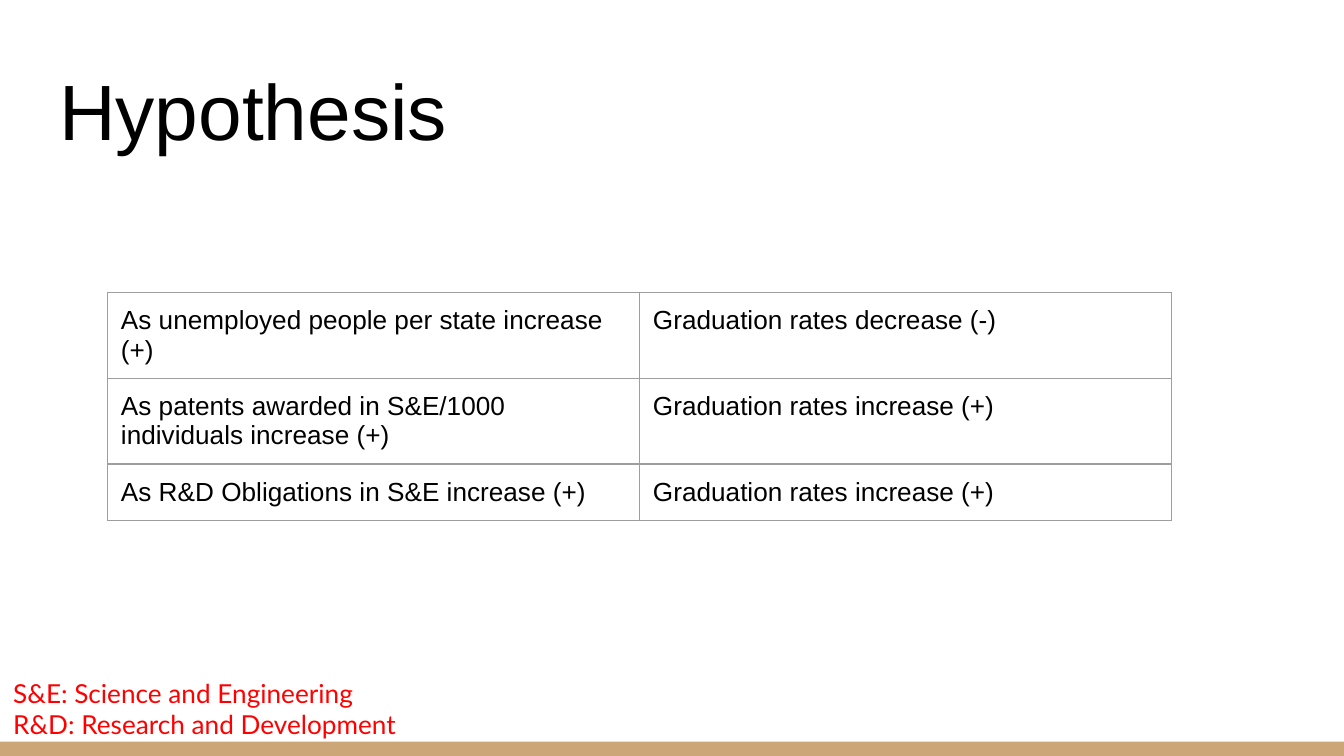
from dataclasses import dataclass

from lxml import etree
from pptx import Presentation
from pptx.dml.color import RGBColor
from pptx.enum import shapes, text
from pptx.oxml import ns
from pptx.util import Pt

BLACK = RGBColor(0x00, 0x00, 0x00)
RED = RGBColor(0xFF, 0x00, 0x00)
TAN = RGBColor(0xCC, 0xA6, 0x77)
GREY = RGBColor(0x9E, 0x9E, 0x9E)
INSET = Pt(7.2)
PAGE_WIDTH = 720
PAGE_HEIGHT = 405


@dataclass(frozen=True)
class Prediction:
    cause: str
    effect: str


@dataclass(frozen=True)
class Style:
    font: str
    size: float
    color: RGBColor


TITLE = Style("Arial", 42, BLACK)
CELL = Style("Arial", 14, BLACK)
NOTE = Style("Lato", 14, RED)

PREDICTIONS = [
    Prediction("As unemployed people per state increase (+)", "Graduation rates decrease (-)"),
    Prediction("As patents awarded in S&E/1000 individuals increase (+)", "Graduation rates increase (+)"),
    Prediction("As R&D Obligations in S&E increase (+)", "Graduation rates increase (+)"),
]
ABBREVIATIONS = ["S&E: Science and Engineering", "R&D: Research and Development"]


def write(frame, wording: str, style: Style) -> None:
    frame.text = wording
    for para in frame.paragraphs:
        para.alignment = text.PP_ALIGN.LEFT
        for span in para.runs:
            span.font.name = style.font
            span.font.size = Pt(style.size)
            span.font.color.rgb = style.color


def set_insets(holder) -> None:
    holder.margin_left = holder.margin_right = INSET
    holder.margin_top = holder.margin_bottom = INSET


def place(shape, left: float, top: float, width: float, height: float) -> None:
    shape.left, shape.top = Pt(left), Pt(top)
    shape.width, shape.height = Pt(width), Pt(height)


def add_borders(cell) -> None:
    properties = cell._tc.get_or_add_tcPr()
    for position, side in enumerate(("lnL", "lnR", "lnT", "lnB")):
        line = etree.Element(ns.qn(f"a:{side}"), w=str(Pt(0.75)))
        fill = etree.SubElement(line, ns.qn("a:solidFill"))
        etree.SubElement(fill, ns.qn("a:srgbClr"), val=str(GREY))
        properties.insert(position, line)


def add_title(page) -> None:
    title = page.shapes.title
    place(title, 24.5, 25.2, 671, 65.5)
    frame = title.text_frame
    set_insets(frame)
    frame.auto_size = text.MSO_AUTO_SIZE.NONE
    frame.vertical_anchor = text.MSO_ANCHOR.BOTTOM
    write(frame, "Hypothesis", TITLE)


def add_predictions(page, predictions: list[Prediction]) -> None:
    row_height = 30
    table = page.shapes.add_table(
        len(predictions), 2, Pt(57.6), Pt(156.8), Pt(570), Pt(row_height * len(predictions))
    ).table
    table.first_row = table.horz_banding = False
    for row, prediction in zip(table.rows, predictions):
        for cell, wording in zip(row.cells, (prediction.cause, prediction.effect)):
            cell.fill.background()
            set_insets(cell)
            add_borders(cell)
            write(cell.text_frame, wording, CELL)


def add_abbreviations(page) -> None:
    box = page.shapes.add_textbox(0, Pt(355.7), Pt(249), Pt(44))
    box.text_frame.word_wrap = True
    set_insets(box.text_frame)
    write(box.text_frame, "\n".join(ABBREVIATIONS), NOTE)


def add_footer_band(page) -> None:
    height = 7.6
    band = page.shapes.add_shape(
        shapes.MSO_SHAPE.RECTANGLE, 0, Pt(PAGE_HEIGHT - height), Pt(PAGE_WIDTH), Pt(height)
    )
    band.shadow.inherit = False
    band.fill.solid()
    band.fill.fore_color.rgb = TAN
    band.line.fill.background()


def main() -> None:
    deck = Presentation()
    deck.slide_width, deck.slide_height = Pt(PAGE_WIDTH), Pt(PAGE_HEIGHT)
    page = deck.slides.add_slide(deck.slide_layouts[5])
    add_footer_band(page)
    add_title(page)
    add_predictions(page, PREDICTIONS)
    add_abbreviations(page)
    deck.save("out.pptx")


if __name__ == "__main__":
    main()
